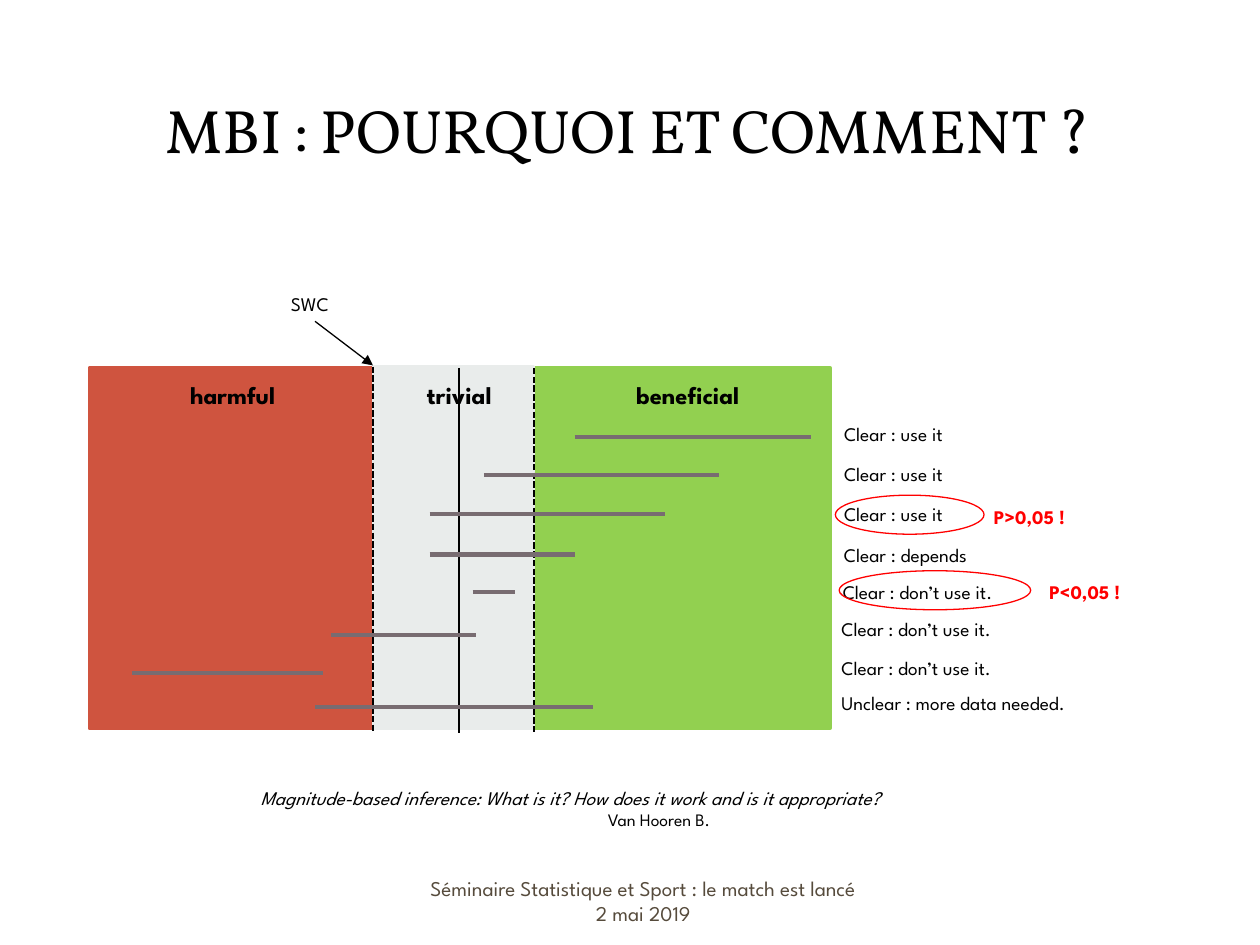
from lxml import etree
from pptx import Presentation
from pptx.dml.color import RGBColor
from pptx.enum.dml import MSO_LINE
from pptx.enum.shapes import MSO_CONNECTOR, MSO_SHAPE
from pptx.enum.text import MSO_ANCHOR, MSO_AUTO_SIZE, PP_ALIGN
from pptx.oxml.ns import qn
from pptx.util import Inches, Pt

STRAIGHT = MSO_CONNECTOR.STRAIGHT
RECTANGLE, OVAL = MSO_SHAPE.RECTANGLE, MSO_SHAPE.OVAL
DASH = MSO_LINE.SQUARE_DOT
LEFT, CENTER = PP_ALIGN.LEFT, PP_ALIGN.CENTER
MIDDLE = MSO_ANCHOR.MIDDLE
GROW = MSO_AUTO_SIZE.SHAPE_TO_FIT_TEXT

BODY_FONT, TITLE_FONT = "League Spartan", "Vollkorn"
COLORS = {
    "text": "000000",
    "harmful": "CF543F",
    "trivial": "E9ECEB",
    "beneficial": "92D050",
    "interval": "786C71",
    "alert": "FF0000",
    "footer": "564B3C",
}

# Zone name, left, top, width, height, label left
ZONES = [
    ("harmful", 0.71, 2.92, 2.93, 2.86, 1.41),
    ("beneficial", 3.66, 2.92, 2.93, 2.86, 4.95),
    ("trivial", 2.97, 2.91, 1.26, 2.87, 3.29),
]

# Interval start, end, height on the slide; verdict, its left, top, width
INTERVALS = [
    (4.56, 6.44, 3.47, "Clear : use it", 6.6, 3.3, 1.19),
    (3.84, 5.71, 3.77, "Clear : use it", 6.6, 3.62, 1.19),
    (3.41, 5.28, 4.08, "Clear : use it", 6.6, 3.94, 1.19),
    (3.41, 4.56, 4.4, "Clear : depends", 6.6, 4.26, 1.57),
    (3.75, 4.09, 4.7, "Clear : don’t use it.", 6.59, 4.56, 1.99),
    (2.63, 3.78, 5.04, "Clear : don’t use it.", 6.58, 4.85, 1.99),
    (1.05, 2.56, 5.34, "Clear : don’t use it.", 6.58, 5.16, 1.99),
    (2.5, 4.71, 5.61, "Unclear : more data needed.", 6.58, 5.44, 2.42),
]

# Ellipse left, top, width; p-value, its left, top
P_VALUES = [
    (6.63, 3.93, 1.18, "P>0,05 !", 7.79, 3.96),
    (6.66, 4.53, 1.52, "P<0,05 !", 8.23, 4.56),
]


def rgb(name):
    return RGBColor.from_string(COLORS[name])


def style(paragraph, size, color="text", font=BODY_FONT, bold=False,
          italic=False, align=LEFT):
    paragraph.alignment = align
    paragraph.font.name = font
    paragraph.font.size = Pt(size)
    paragraph.font.bold = bold
    paragraph.font.italic = italic
    paragraph.font.color.rgb = rgb(color)


def add_text(slide, text, left, top, width, height=0.29, size=11, **options):
    frame = slide.shapes.add_textbox(
        Inches(left), Inches(top), Inches(width), Inches(height)).text_frame
    frame.word_wrap = True
    frame.auto_size = GROW
    frame.text = text
    for paragraph in frame.paragraphs:
        style(paragraph, size, **options)
    return frame


def add_outlined(slide, kind, left, top, width, height, line, weight, fill=None):
    shape = slide.shapes.add_shape(
        kind, Inches(left), Inches(top), Inches(width), Inches(height))
    shape.shadow.inherit = False
    if fill:
        shape.fill.solid()
        shape.fill.fore_color.rgb = rgb(fill)
    else:
        shape.fill.background()
    shape.line.color.rgb = rgb(line)
    shape.line.width = Pt(weight)


def add_line(slide, x1, y1, x2, y2, weight, color="text", dash=None, arrow=False):
    connector = slide.shapes.add_connector(
        STRAIGHT, Inches(x1), Inches(y1), Inches(x2), Inches(y2))
    connector.line.color.rgb = rgb(color)
    connector.line.width = Pt(weight)
    if dash:
        connector.line.dash_style = dash
    properties = connector._element.spPr
    if arrow:
        etree.SubElement(properties.find(qn("a:ln")), qn("a:tailEnd"), type="triangle")
    etree.SubElement(properties, qn("a:effectLst"))


def add_title(slide, text):
    title = slide.shapes.title
    title.left, title.top = Inches(0.47), Inches(0.45)
    title.width, title.height = Inches(9.03), Inches(1.14)
    title.text_frame.text = text
    title.text_frame.vertical_anchor = MIDDLE
    style(title.text_frame.paragraphs[0], 35, font=TITLE_FONT, align=CENTER)


def add_zones(slide):
    for name, left, top, width, height, _ in ZONES:
        add_outlined(slide, RECTANGLE, left, top, width, height, name, 2, fill=name)

    # Smallest worthwhile change limits and the zero line
    for x, top, dash in [(2.96, 2.91, DASH), (4.24, 2.92, DASH), (3.64, 2.92, None)]:
        add_line(slide, x, top, x, top + 2.9, 1.25, dash=dash)
    add_line(slide, 2.5, 2.55, 2.96, 2.9, 0.75, arrow=True)
    add_text(slide, "SWC", 2.21, 2.27, 0.57)

    for name, *_, label_left in ZONES:
        add_text(slide, name, label_left, 2.97, 1.75, 0.34, size=14, bold=True)


def add_intervals(slide):
    for start, end, y, verdict, left, top, width in INTERVALS:
        add_line(slide, start, y, end, y, 2.5, "interval")
        add_text(slide, verdict, left, top, width)


def add_p_values(slide):
    for left, top, width, p_value, text_left, text_top in P_VALUES:
        add_outlined(slide, OVAL, left, top, width, 0.31, "alert", 0.75)
        add_text(slide, p_value, text_left, text_top, 1.19, color="alert", bold=True)


def add_reference(slide):
    reference = add_text(
        slide,
        "Magnitude-based inference: What is it? How does it work and is it "
        "appropriate?\nVan Hooren B.",
        1.97, 6.19, 6.52, 0.45, italic=True)
    style(reference.paragraphs[1], 10, align=CENTER)


def add_footer(slide):
    footer = add_text(
        slide, "Séminaire Statistique et Sport : le match est lancé\n2 mai 2019",
        2.89, 6.95, 4.43, 0.4, size=12, color="footer", align=CENTER)
    footer.auto_size = MSO_AUTO_SIZE.NONE
    footer.vertical_anchor = MIDDLE


def main():
    presentation = Presentation()
    presentation.slide_width, presentation.slide_height = Inches(10), Inches(7.5)
    slide = presentation.slides.add_slide(presentation.slide_layouts[5])
    add_title(slide, "MBI : POURQUOI ET COMMENT ?")
    add_reference(slide)
    add_zones(slide)
    add_intervals(slide)
    add_p_values(slide)
    add_footer(slide)
    presentation.save("out.pptx")


if __name__ == "__main__":
    main()
